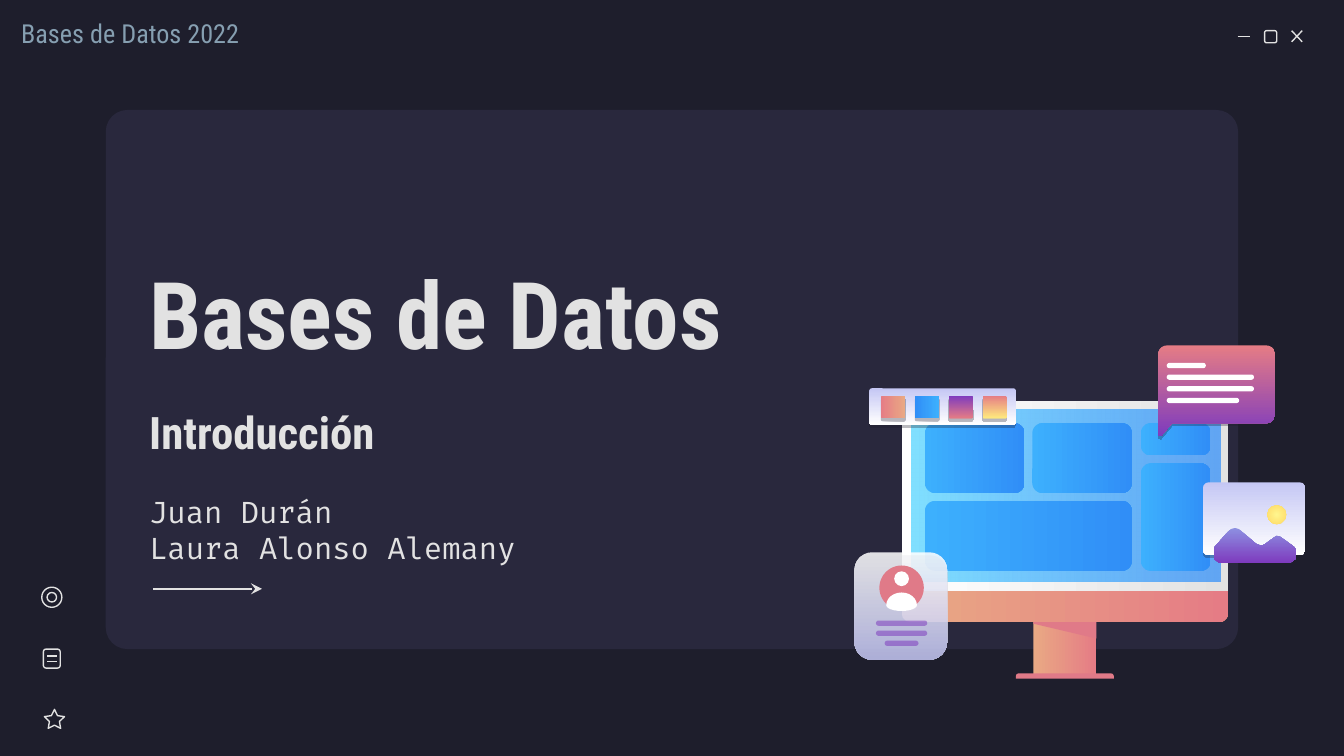
"""Build the opening slide of a databases course, with a desktop illustration."""
import math

import pptx
import pptx.dml.color
import pptx.enum.shapes
import pptx.enum.text
import pptx.oxml
import pptx.oxml.ns
import pptx.util

Cm = pptx.util.Cm
Pt = pptx.util.Pt
RGB = pptx.dml.color.RGBColor.from_string
KIND = pptx.enum.shapes.MSO_SHAPE
qn = pptx.oxml.ns.qn
NS = pptx.oxml.ns.nsdecls("a")
COLOURS = {
    "night": "1E1E2C", "panel": "29283D", "header": "869FB1", "light": "E2E2E2",
    "white": "FFFFFF", "lavender": "C5C7F4", "peach": "E9A984", "coral": "E57C85",
    "rose": "E07A88", "sky": "80DFFF", "azure": "318FFA", "cyan": "3DB0FD",
    "blue": "308EF7", "purple": "7E3BBE", "iris": "8D90E1", "lemon": "FFF68E",
    "gold": "FFD966", "yellow": "FFEA7D",
}
ACROSS, DOWN = 0, 270

deck = pptx.Presentation()
deck.slide_width, deck.slide_height = Cm(25.4), Cm(14.29)
slide = deck.slides.add_slide(deck.slide_layouts[5])
shapes = slide.shapes
slide.background.fill.solid()
slide.background.fill.fore_color.rgb = RGB(COLOURS["night"])


def add_preset(kind, x, y, w, h, *adjustments):
    shape = shapes.add_shape(kind, Cm(x), Cm(y), Cm(w), Cm(h))
    for i, value in enumerate(adjustments):
        shape.adjustments[i] = value
    return shape


def paint(shape, names, angle=ACROSS, alphas=(), shadow=False):
    names = names.split()
    shape.line.fill.background()
    if len(names) == 1:
        shape.fill.solid()
        shape.fill.fore_color.rgb = RGB(COLOURS[names[0]])
    else:
        shape.fill.gradient()
        shape.fill.gradient_angle = angle
        for stop, name in zip(shape.fill.gradient_stops, names):
            stop.color.rgb = RGB(COLOURS[name])
    properties = shape._element.spPr
    for colour, alpha in zip(list(properties.iter(qn("a:srgbClr"))), alphas):
        colour.append(pptx.oxml.parse_xml(f'<a:alpha {NS} val="{alpha * 1000}"/>'))
    shape.shadow.inherit = False
    if shadow:
        properties.find(qn("a:effectLst")).append(pptx.oxml.parse_xml(
            f'<a:outerShdw {NS} blurRad="0" dist="{Pt(1.5)}" dir="5400000" algn="bl" rotWithShape="0">'
            f'<a:srgbClr val="{COLOURS["night"]}"><a:alpha val="30000"/></a:srgbClr></a:outerShdw>'))


paint(add_preset(KIND.ROUNDED_RECTANGLE, 2, 2.08, 21.4, 10.19, 0.04), "panel")

title = shapes.title
title.left, title.top, title.width, title.height = Cm(2.57), Cm(3.66), Cm(12.34), Cm(4.47)
shapes._spTree.append(title._element)
header = shapes.add_textbox(Cm(0.15), Cm(0.08), Cm(5), Cm(1.7))
subtitle = shapes.add_textbox(Cm(2.57), Cm(8.59), Cm(8.23), Cm(1.17))
FORMATS = {
    "header": {"name": "Roboto Condensed", "size": Pt(14), "bold": False},
    "title": {"name": "Roboto Condensed", "size": Pt(50), "bold": True},
    "topic": {"name": "Roboto Condensed", "size": Pt(24), "bold": True},
    "author": {"name": "Fira Code", "size": Pt(16), "bold": False},
}
MIDDLE, TOP = pptx.enum.text.MSO_ANCHOR.MIDDLE, pptx.enum.text.MSO_ANCHOR.TOP
for holder, anchor, colour, lines in (
    (header, TOP, "header", [("Bases de Datos 2022", "header", 0)]),
    (title, MIDDLE, "light", [("Bases de Datos", "title", 0)]),
    (subtitle, MIDDLE, "light", [("Introducción", "topic", 19), ("Juan Durán", "author", 0),
                                 ("Laura Alonso Alemany", "author", 0)]),
):
    frame = holder.text_frame
    frame.auto_size = pptx.enum.text.MSO_AUTO_SIZE.NONE
    frame.word_wrap, frame.vertical_anchor = True, anchor
    for side in ("left", "top", "right", "bottom"):
        setattr(frame, f"margin_{side}", Cm(0.25))
    for i, (words, style, gap) in enumerate(lines):
        paragraph = frame.add_paragraph() if i else frame.paragraphs[0]
        paragraph.alignment = pptx.enum.text.PP_ALIGN.LEFT
        paragraph.space_before, paragraph.space_after = Pt(0), Pt(gap)
        run = paragraph.add_run()
        run.text = words
        run.font.color.rgb = RGB(COLOURS[colour])
        for key, value in FORMATS[style].items():
            setattr(run.font, key, value)

bubble = []
for x, y, start in ((22.06, 6.7, 180), (23.93, 6.7, 270), (23.93, 7.83, 0)):
    for step in range(0, 91, 15):
        turn = math.radians(start + step)
        bubble.append((x + 0.17 * math.cos(turn), y + 0.17 * math.sin(turn)))
bubble += [(22.15, 8), (21.94, 8.25), (21.89, 8.23)]
shoulders = []
for step in range(0, 360, 15):
    rise = math.sin(math.radians(step))
    shoulders.append((17.04 + 0.29 * math.cos(math.radians(step)),
                      11.44 - rise * (0.24 if rise > 0 else 0.11)))
OUTLINES = {
    "reflection": [(19.53, 11.71), (19.53, 11.79), (20.72, 12.07), (20.72, 11.71)],
    "bubble": bubble,
    "shoulders": shoulders,
    "mountains": [(22.94, 10.36), (23.2, 10.06), (23.27, 10), (23.34, 9.98), (23.41, 10),
                  (23.75, 10.29), (23.82, 10.31), (23.89, 10.3), (24.08, 10.16), (24.13, 10.13),
                  (24.2, 10.15), (24.46, 10.34), (24.49, 10.39), (24.49, 10.56), (24.38, 10.64),
                  (23.04, 10.64), (22.94, 10.56)],
}
ROUND, OVAL = KIND.ROUNDED_RECTANGLE, KIND.OVAL
RECT, ROUND_TOP = KIND.RECTANGLE, KIND.ROUND_2_SAME_RECTANGLE
parts = [
    ((RECT, 19.53, 11.71, 1.19, 1.09), "peach coral", {}),
    ((ROUND_TOP, 19.2, 12.73, 1.85, 0.1, 0.5, 0), "rose", {}),
    ("reflection", "rose", {}),
    ((ROUND_TOP, 17.04, 11.15, 6.17, 0.61, 0, 0.28), "peach coral", {}),
    ((ROUND_TOP, 17.04, 7.59, 6.17, 3.58, 0.05, 0), "white light", {}),
    ((RECT, 17.22, 7.75, 5.84, 3.25), "sky azure", {"alphas": (100, 72)}),
]
for x, y, w, h in ((17.48, 8, 1.88, 1.32), (17.48, 9.47, 3.91, 1.32), (19.51, 8, 1.88, 1.32),
                   (21.56, 8, 1.32, 0.61), (21.56, 8.76, 1.32, 2.03)):
    parts.append(((ROUND, x, y, w, h, 0.19 / min(w, h)), "cyan blue", {}))
parts.append(("bubble", "coral purple", {"angle": DOWN, "shadow": True}))
for i, w in enumerate((0.74, 1.65, 1.65, 1.37)):
    parts.append(((ROUND, 22.05, 6.86 + 0.22 * i, w, 0.1, 0.5), "white", {}))
parts += [
    ((ROUND, 16.15, 10.44, 1.75, 2.03, 0.19), "white lavender",
     {"angle": DOWN, "alphas": (86, 86), "shadow": True}),
    ((OVAL, 16.62, 10.69, 0.84, 0.84), "rose", {}),
    ((OVAL, 16.9, 10.8, 0.28, 0.28), "white", {}),
    ("shoulders", "white", {}),
]
for i, w in enumerate((0.97, 0.97, 0.64)):
    parts.append(((ROUND, 17.04 - w / 2, 11.73 + 0.19 * i, w, 0.1, 0.5), "purple", {"alphas": (54,)}))
parts += [
    ((ROUND, 22.74, 9.12, 1.93, 1.37, 0.07), "lavender white", {"angle": DOWN, "shadow": True}),
    ("mountains", "iris purple", {"angle": DOWN}),
    ((OVAL, 23.95, 9.55, 0.36, 0.36), "lemon gold", {}),
    ((ROUND, 16.43, 7.34, 2.77, 0.69, 0.07), "lavender white", {"angle": DOWN, "shadow": True}),
]
for i, (names, angle) in enumerate((("coral peach", ACROSS), ("blue cyan", ACROSS),
                                    ("purple coral", DOWN), ("coral yellow", DOWN))):
    parts.append(((ROUND, 16.65 + 0.64 * i, 7.48, 0.46, 0.43, 0.07), names,
                  {"angle": angle, "shadow": True}))
for geometry, names, options in parts:
    if geometry in OUTLINES:
        points = [(Cm(x), Cm(y)) for x, y in OUTLINES[geometry]]
        builder = shapes.build_freeform(*points[0])
        builder.add_line_segments(points[1:], close=True)
        part = builder.convert_to_shape()
    else:
        part = add_preset(*geometry)
    paint(part, names, **options)
    if names == "lemon gold":
        linear = next(part._element.spPr.iter(qn("a:lin")))
        linear.getparent().replace(linear, pptx.oxml.parse_xml(
            f'<a:path {NS} path="circle"><a:fillToRect l="50000" t="50000" r="50000" b="50000"/></a:path>'))

for icon in ((ROUND, 23.9, 0.58, 0.23, 0.23, 0.17), (KIND.STAR_5_POINT, 0.84, 13.41, 0.38, 0.36, 0.25),
             (ROUND, 0.82, 12.27, 0.32, 0.36, 0.17), (OVAL, 0.79, 11.1, 0.38, 0.38),
             (OVAL, 0.89, 11.2, 0.18, 0.18)):
    outline = add_preset(*icon)
    outline.fill.background()
    outline.line.color.rgb, outline.line.width = RGB(COLOURS["light"]), Pt(0.75)
    outline.shadow.inherit = False

for *ends, arrow in ((23.39, 0.69, 23.62, 0.69, False), (24.41, 0.58, 24.61, 0.79, False),
                     (24.61, 0.58, 24.41, 0.79, False), (0.89, 12.4, 1.07, 12.4, False),
                     (0.89, 12.5, 1.07, 12.5, False), (2.9, 11.13, 4.95, 11.13, True)):
    stroke = shapes.add_connector(pptx.enum.shapes.MSO_CONNECTOR.STRAIGHT, *map(Cm, ends))
    stroke.line.color.rgb, stroke.line.width = RGB(COLOURS["light"]), Pt(0.75)
    if arrow:
        stroke.line._get_or_add_ln().append(pptx.oxml.parse_xml(
            f'<a:tailEnd {NS} type="stealth" w="med" len="med"/>'))
    stroke._element.spPr.append(pptx.oxml.parse_xml(f"<a:effectLst {NS}/>"))

deck.save("out.pptx")
